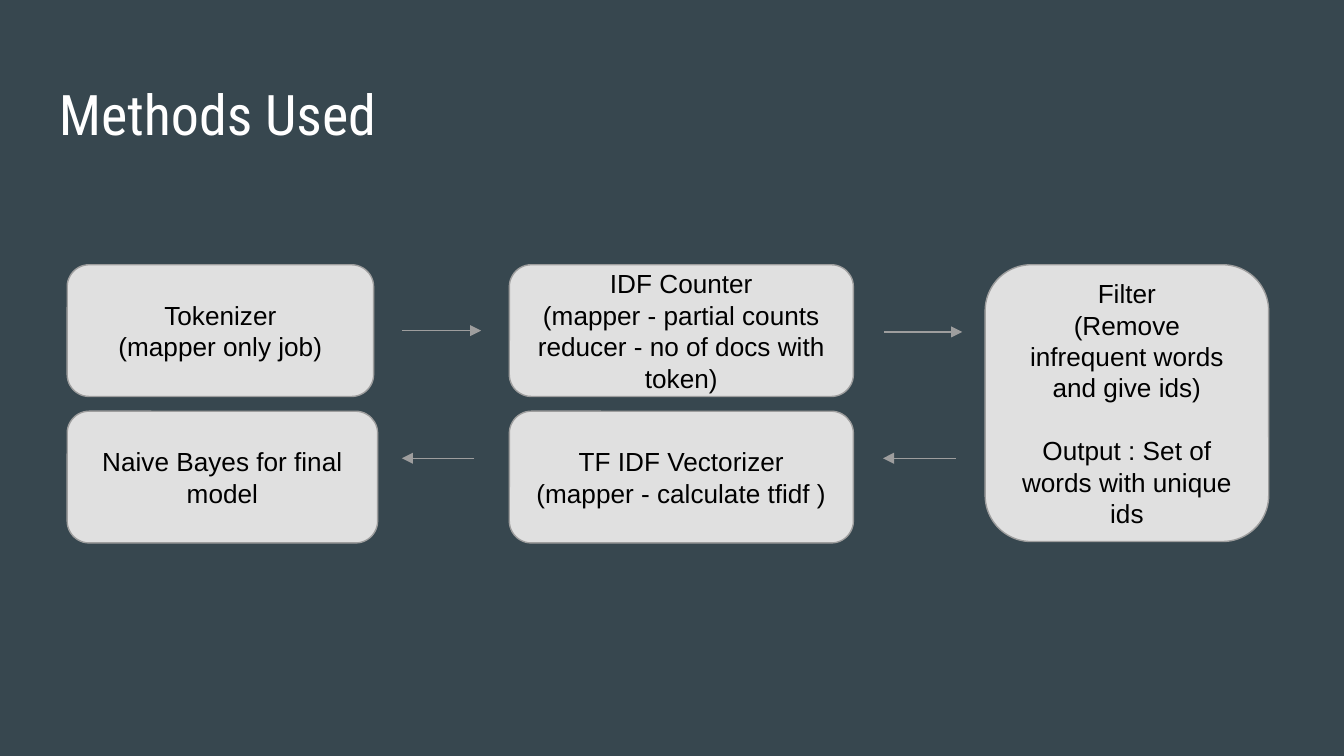
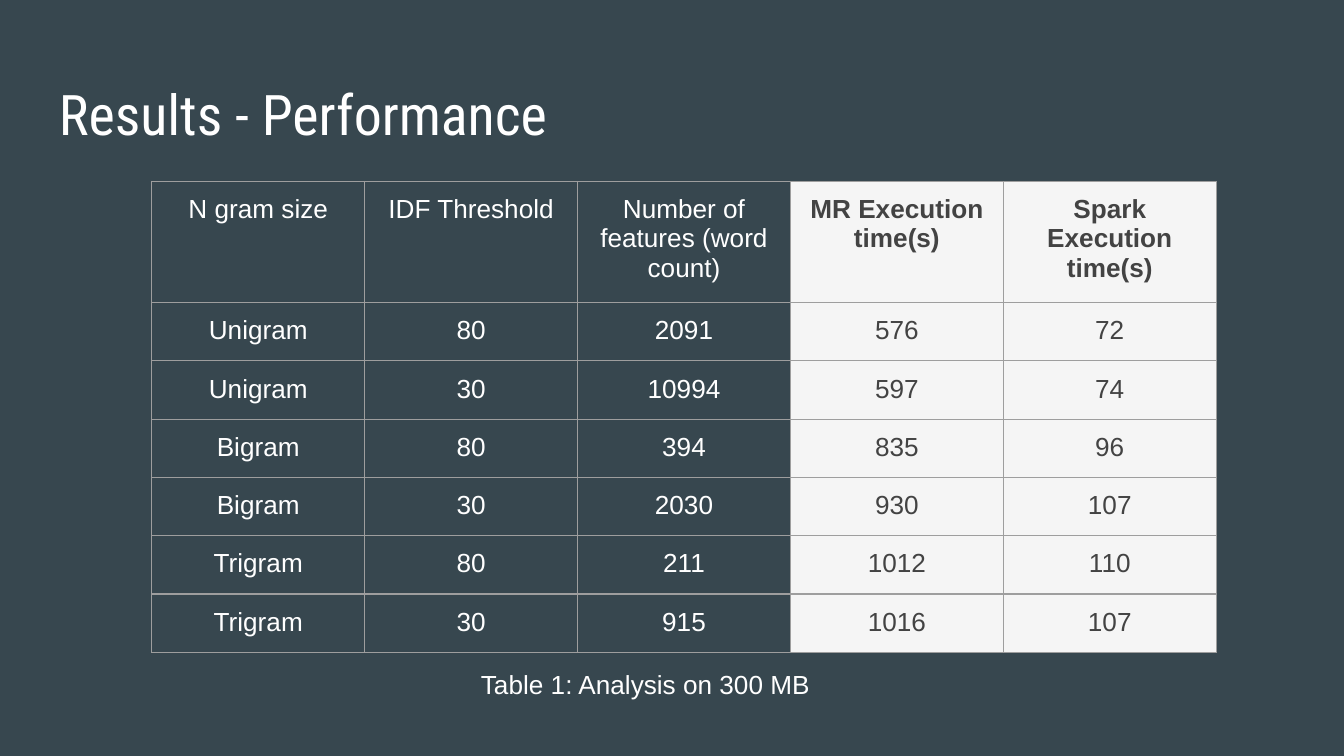
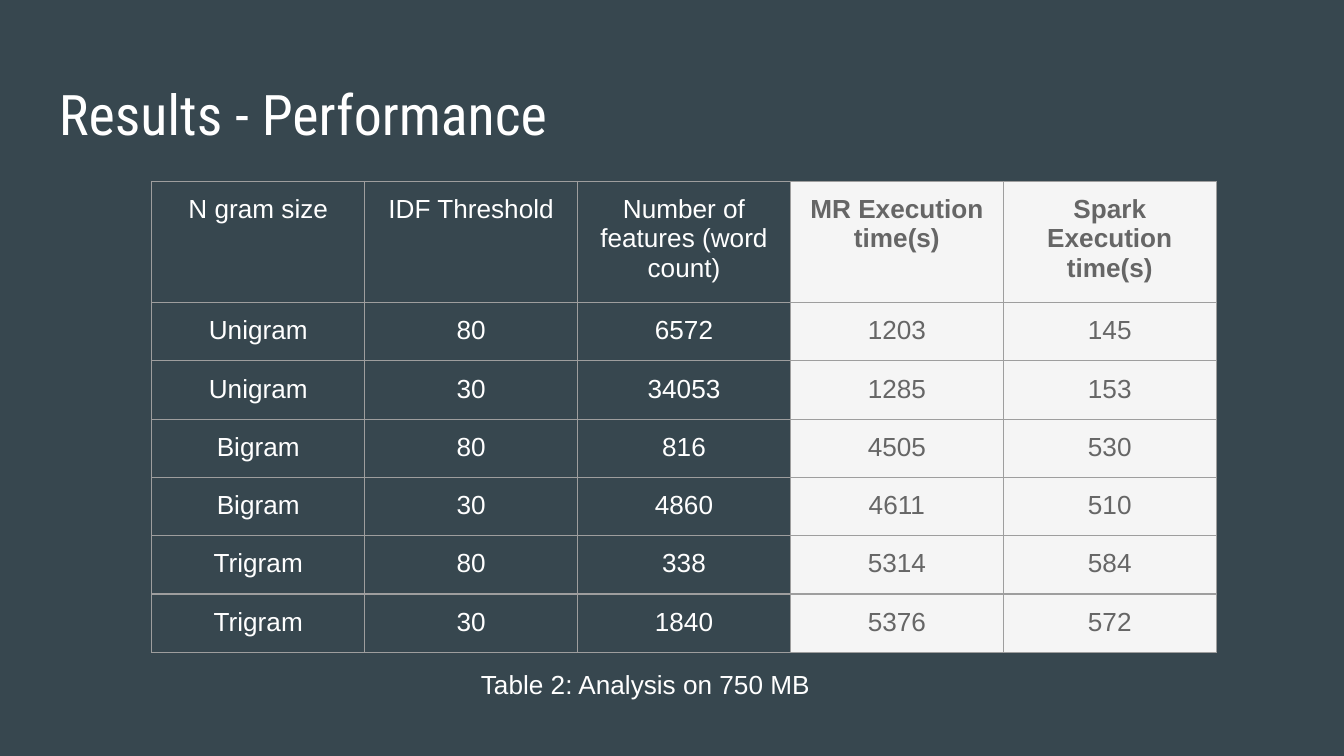
from dataclasses import dataclass

from lxml.etree import SubElement
from pptx import Presentation
from pptx.dml.color import RGBColor
from pptx.enum.shapes import MSO_CONNECTOR, MSO_SHAPE
from pptx.enum.text import MSO_ANCHOR, PP_ALIGN
from pptx.oxml.ns import qn
from pptx.slide import Slide
from pptx.table import _Cell
from pptx.text.text import TextFrame, _Paragraph
from pptx.util import Inches, Pt

COLORS = {
    "background": "37474F",
    "light_text": "FFFFFF",
    "step_text": "000000",
    "step_fill": "E0E0E0",
    "line": "9E9E9E",
    "timing_fill": "F5F5F5",
    "dark_gray": "434343",
    "mid_gray": "666666",
}
TITLE_FONT, BODY_FONT = "Roboto Condensed", "Arial"
BODY_SIZE = 14
INSET = Inches(0.1)
LINE_WIDTH = Pt(0.75)
UPPER_ROW, LOWER_ROW = 1.97, 3.06
STEP_HEIGHT = 0.98


@dataclass
class Step:
    left: float
    top: float
    width: float
    lines: list[str]
    height: float = STEP_HEIGHT
    gap_before_last: float = 0


@dataclass
class Arrow:
    start: float
    end: float
    y: float


@dataclass
class Results:
    caption: str
    timing_color: str
    measurements: list[tuple[int, int, int]]


STEPS = [
    Step(0.5, UPPER_ROW, 2.28, ["Tokenizer", "(mapper only job)"]),
    Step(3.79, UPPER_ROW, 2.56,
         ["IDF Counter", "(mapper - partial counts", "reducer - no of docs with token)"]),
    Step(7.33, UPPER_ROW, 2.11,
         ["Filter", "(Remove infrequent words and give ids)",
          "Output : Set of words with unique ids"],
         height=2.06, gap_before_last=16.8),
    Step(3.79, LOWER_ROW, 2.56, ["TF IDF Vectorizer", "(mapper - calculate tfidf )"]),
    Step(0.5, LOWER_ROW, 2.31, ["Naive Bayes for final model"]),
]
ARROWS = [
    Arrow(2.99, 3.58, 2.46),
    Arrow(6.58, 7.16, 2.47),
    Arrow(7.11, 6.57, 3.41),
    Arrow(3.53, 2.99, 3.41),
]
HEADERS = ["N gram size", "IDF Threshold", "Number of features (word count)",
           "MR Execution time(s)", "Spark Execution time(s)"]
FIRST_TIMING_COLUMN = 3
SETTINGS = [(size, threshold) for size in ("Unigram", "Bigram", "Trigram")
            for threshold in (80, 30)]
RESULTS = [
    Results("Table 1: Analysis on 300 MB", "dark_gray",
            [(2091, 576, 72), (10994, 597, 74), (394, 835, 96),
             (2030, 930, 107), (211, 1012, 110), (915, 1016, 107)]),
    Results("Table 2: Analysis on 750 MB", "mid_gray",
            [(6572, 1203, 145), (34053, 1285, 153), (816, 4505, 530),
             (4860, 4611, 510), (338, 5314, 584), (1840, 5376, 572)]),
]


def rgb(name: str) -> RGBColor:
    return RGBColor.from_string(COLORS[name])


def add_run(paragraph: _Paragraph, text: str, color: str, size: int = BODY_SIZE,
            font: str = BODY_FONT, bold: bool = False) -> None:
    run = paragraph.add_run()
    run.text = text
    run.font.name = font
    run.font.size = Pt(size)
    run.font.bold = bold
    run.font.color.rgb = rgb(color)


def set_insets(holder: TextFrame | _Cell) -> None:
    holder.margin_left = holder.margin_right = INSET
    holder.margin_top = holder.margin_bottom = INSET


def add_label(slide: Slide, text: str, left: float, top: float, width: float,
              size: int = BODY_SIZE, font: str = BODY_FONT) -> None:
    frame = slide.shapes.add_textbox(
        Inches(left), Inches(top), Inches(width), Inches(0.63)).text_frame
    frame.word_wrap = True
    set_insets(frame)
    add_run(frame.paragraphs[0], text, "light_text", size, font)


def add_titled_slide(deck: Presentation, title: str) -> Slide:
    slide = deck.slides.add_slide(deck.slide_layouts[6])
    slide.background.fill.solid()
    slide.background.fill.fore_color.rgb = rgb("background")
    add_label(slide, title, 0.34, 0.49, 9.32, 30, TITLE_FONT)
    return slide


def add_step(slide: Slide, step: Step) -> None:
    box = slide.shapes.add_shape(
        MSO_SHAPE.ROUNDED_RECTANGLE, Inches(step.left), Inches(step.top),
        Inches(step.width), Inches(step.height))
    box.shadow.inherit = False
    box.fill.solid()
    box.fill.fore_color.rgb = rgb("step_fill")
    box.line.color.rgb = rgb("line")
    box.line.width = LINE_WIDTH
    frame = box.text_frame
    frame.word_wrap = True
    frame.vertical_anchor = MSO_ANCHOR.MIDDLE
    set_insets(frame)
    for index, line in enumerate(step.lines):
        paragraph = frame.add_paragraph() if index else frame.paragraphs[0]
        paragraph.alignment = PP_ALIGN.CENTER
        add_run(paragraph, line, "step_text")
    if step.gap_before_last:
        frame.paragraphs[-1].space_before = Pt(step.gap_before_last)


def add_arrow(slide: Slide, arrow: Arrow) -> None:
    connector = slide.shapes.add_connector(
        MSO_CONNECTOR.STRAIGHT, Inches(arrow.start), Inches(arrow.y),
        Inches(arrow.end), Inches(arrow.y))
    connector.line.color.rgb = rgb("line")
    connector.line.width = LINE_WIDTH
    properties = connector._element.spPr
    SubElement(properties.find(qn("a:ln")), qn("a:tailEnd"), type="triangle")
    SubElement(properties, qn("a:effectLst"))


def add_borders(cell: _Cell) -> None:
    """Outline all four sides; borders must precede the fill in the cell XML."""
    properties = cell._tc.get_or_add_tcPr()
    for side in ("lnL", "lnR", "lnT", "lnB"):
        border = SubElement(properties, qn(f"a:{side}"), w=str(LINE_WIDTH))
        fill = SubElement(border, qn("a:solidFill"))
        SubElement(fill, qn("a:srgbClr"), val=COLORS["line"])


def fill_cell(cell: _Cell, text: str, timing_color: str, is_timing: bool,
              is_header: bool) -> None:
    set_insets(cell)
    add_borders(cell)
    if is_timing:
        cell.fill.solid()
        cell.fill.fore_color.rgb = rgb("timing_fill")
    else:
        cell.fill.background()
    paragraph = cell.text_frame.paragraphs[0]
    paragraph.alignment = PP_ALIGN.CENTER
    paragraph.line_spacing = 1.0
    add_run(paragraph, text, timing_color if is_timing else "light_text",
            bold=is_timing and is_header)


def add_results_table(slide: Slide, results: Results) -> None:
    rows = [HEADERS] + [
        [*setting, *measured] for setting, measured in zip(SETTINGS, results.measurements)]
    column_width, row_height = Inches(7.92) // len(HEADERS), Inches(0.42)
    table = slide.shapes.add_table(
        len(rows), len(HEADERS), Inches(1.13), Inches(1.35),
        column_width * len(HEADERS), row_height * len(rows)).table
    table.first_row = table.horz_banding = False
    for column in table.columns:
        column.width = column_width
    for row_index, values in enumerate(rows):
        table.rows[row_index].height = row_height
        for column_index, value in enumerate(values):
            fill_cell(table.cell(row_index, column_index), str(value), results.timing_color,
                      is_timing=column_index >= FIRST_TIMING_COLUMN,
                      is_header=row_index == 0)


def main() -> None:
    deck = Presentation()
    deck.slide_width = Inches(10)
    deck.slide_height = deck.slide_width * 9 // 16

    methods = add_titled_slide(deck, "Methods Used")
    for step in STEPS:
        add_step(methods, step)
    for arrow in ARROWS:
        add_arrow(methods, arrow)

    for results in RESULTS:
        performance = add_titled_slide(deck, "Results - Performance")
        add_results_table(performance, results)
        add_label(performance, results.caption, 3.48, 4.87, 6.7)

    deck.save("out.pptx")


if __name__ == "__main__":
    main()
